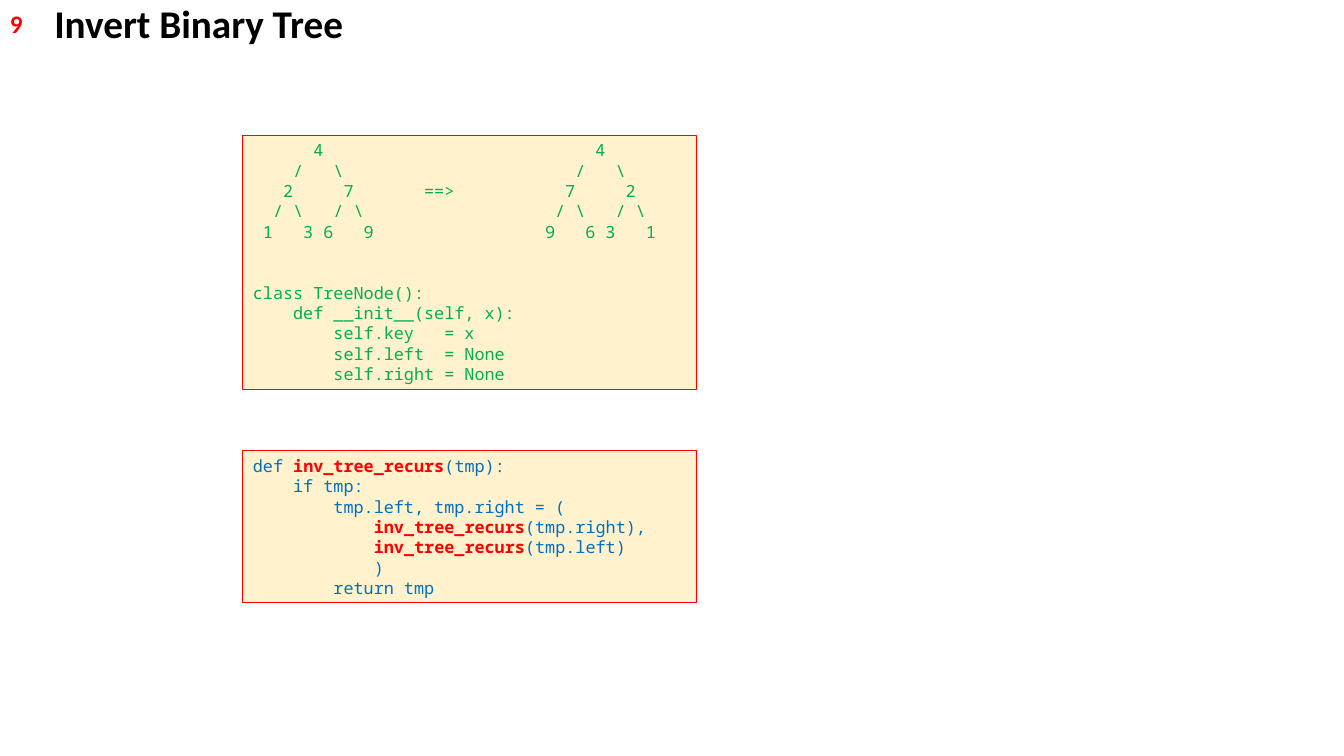
"""Build the Invert Binary Tree slide with its two code panels."""
import pptx
import pptx.dml.color
import pptx.enum.shapes
import pptx.enum.text
import pptx.util

Inches, Pt = pptx.util.Inches, pptx.util.Pt

HEADINGS = [
    {"text": "Invert Binary Tree", "at": (0.44, -0.06, 5.18, 0.57), "size": "title", "color": "ink", "wrap": True},
    {"text": "9", "at": (0, 0.03, 0.33, 0.4), "size": "number", "color": "accent", "wrap": False},
]

TREE_CODE = r"""      4                           4
    /   \                       /   \
   2     7       ==>           7     2
  / \   / \                   / \   / \
 1   3 6   9                 9   6 3   1
class TreeNode():
    def __init__(self, x):
        self.key   = x
        self.left  = None
        self.right = None"""

INVERT_CODE = """def inv_tree_recurs(tmp):
    if tmp:
        tmp.left, tmp.right = (
            inv_tree_recurs(tmp.right),
            inv_tree_recurs(tmp.left)
            )
        return tmp"""

PANELS = [
    {"code": TREE_CODE, "top": 1.34, "height": 2.52, "color": "tree"},
    {"code": INVERT_CODE, "top": 4.47, "height": 1.51, "color": "invert"},
]
PANEL_LEFT, PANEL_WIDTH = 2.41, 4.5
HIGHLIGHT = "inv_tree_recurs"
SECTION_START, SECTION_GAP_LINES = "class ", 2

THEME = {
    "colors": {"ink": "000000", "accent": "FF0000", "panel": "FFF2CC", "tree": "00B050", "invert": "0070C0"},
    "sizes": {"title": 28, "number": 18, "code": 12},
    "fonts": {"heading": "Calibri", "code": "Noto Sans Mono"},
    "code_line": 14.5,
    "outline": 0.75,
}


def color(name):
    return pptx.dml.color.RGBColor.from_string(THEME["colors"][name])


def add_run(paragraph, text, face, size, color_name, bold):
    run = paragraph.add_run()
    run.text = text
    style = {"name": THEME["fonts"][face], "size": Pt(THEME["sizes"][size]), "bold": bold}
    for key, value in style.items():
        setattr(run.font, key, value)
    run.font.color.rgb = color(color_name)


def add_heading(slide, heading):
    frame = slide.shapes.add_textbox(*map(Inches, heading["at"])).text_frame
    frame.word_wrap = heading["wrap"]
    add_run(frame.paragraphs[0], heading["text"], "heading", heading["size"], heading["color"], True)


def add_panel(slide, panel):
    box = (PANEL_LEFT, panel["top"], PANEL_WIDTH, panel["height"])
    shape = slide.shapes.add_shape(pptx.enum.shapes.MSO_SHAPE.RECTANGLE, *map(Inches, box))
    shape.shadow.inherit = False
    shape.fill.solid()
    shape.fill.fore_color.rgb = color("panel")
    shape.line.color.rgb = color("accent")
    shape.line.width = Pt(THEME["outline"])
    frame = shape.text_frame
    frame.word_wrap = True
    frame.vertical_anchor = pptx.enum.text.MSO_ANCHOR.TOP
    for index, line in enumerate(panel["code"].split("\n")):
        paragraph = frame.add_paragraph() if index else frame.paragraphs[0]
        gap = SECTION_GAP_LINES if line.startswith(SECTION_START) else 0
        layout = {
            "alignment": pptx.enum.text.PP_ALIGN.LEFT,
            "line_spacing": Pt(THEME["code_line"]),
            "space_before": Pt(gap * THEME["code_line"]),
        }
        for key, value in layout.items():
            setattr(paragraph, key, value)
        before, name, after = line.partition(HIGHLIGHT)
        for text, color_name in ((before, panel["color"]), (name, "accent"), (after, panel["color"])):
            if text:
                add_run(paragraph, text, "code", "code", color_name, text == HIGHLIGHT)


def main():
    deck = pptx.Presentation()
    deck.slide_width, deck.slide_height = Inches(13.33), Inches(7.5)
    slide = deck.slides.add_slide(deck.slide_layouts[6])
    for heading in HEADINGS:
        add_heading(slide, heading)
    for panel in PANELS:
        add_panel(slide, panel)
    deck.save("out.pptx")


if __name__ == "__main__":
    main()
